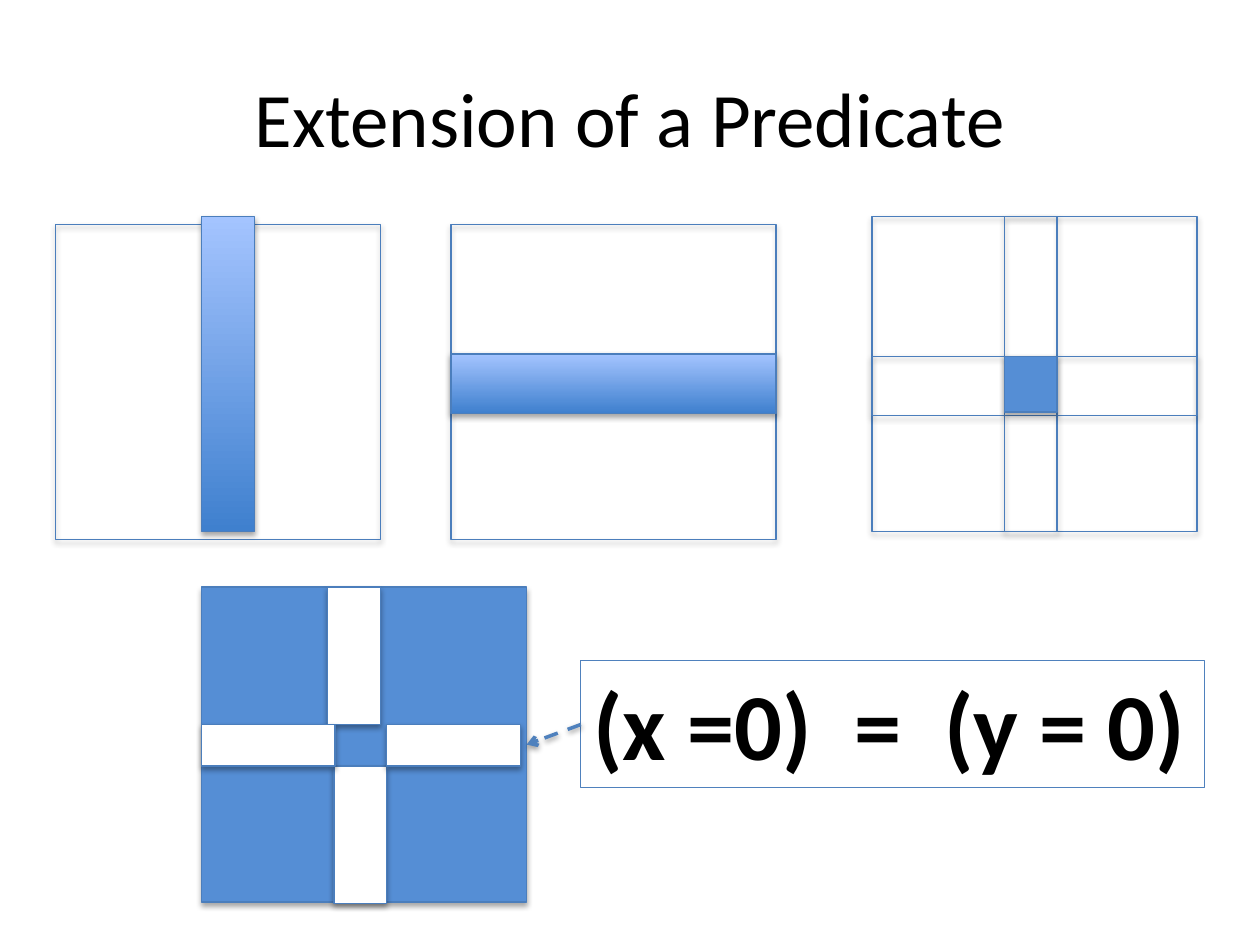
from lxml import etree
from pptx import Presentation
from pptx.dml.color import RGBColor as RGB
from pptx.enum.dml import MSO_LINE_DASH_STYLE as DASH
from pptx.enum.shapes import MSO_CONNECTOR as CONN, MSO_SHAPE as SHAPE
from pptx.enum.text import MSO_ANCHOR as ANCHOR, MSO_AUTO_SIZE as AUTO, PP_ALIGN as ALIGN
from pptx.oxml.ns import qn
from pptx.util import Inches, Pt

COLORS = {"edge": "4B7EBC", "accent": "4F81BD", "area": "558ED5", "white": "FFFFFF",
          "black": "000000", "dark": "3F80CE", "light": "A4C4FF"}
FONT = "Calibri"
SIDE_W, SIDE_H = 2.58, 2.5      # size of every square
BAND_W, BAND_H = 0.42, 0.47     # thickness of upright and level bands


def color(name):
    """Return the named colour."""
    return RGB.from_string(COLORS[name])


def add_shadow(sp_pr, alpha, dist):
    """Add a soft shadow that falls straight down."""
    effects = sp_pr.find(qn("a:effectLst"))
    if effects is None:
        effects = etree.SubElement(sp_pr, qn("a:effectLst"))
    shadow = etree.SubElement(effects, qn("a:outerShdw"), blurRad="40000", dist=str(dist),
                              dir="5400000", rotWithShape="0")
    clr = etree.SubElement(shadow, qn("a:srgbClr"), val=COLORS["black"])
    etree.SubElement(clr, qn("a:alpha"), val=str(alpha * 1000))


def add_rect(s, x, y, w, h, fill=None):
    """Add an outlined rectangle: empty, plain or with the band gradient."""
    sp = s.shapes.add_shape(SHAPE.RECTANGLE, *map(Inches, (x, y, w, h)))
    if fill is None:
        sp.fill.background()
    elif fill == "gradient":
        sp.fill.gradient()
        sp.fill.gradient_angle = 90
        for stop, name in zip(sp.fill.gradient_stops, ("dark", "light")):
            stop.color.rgb = color(name)
    else:
        sp.fill.solid()
        sp.fill.fore_color.rgb = color(fill)
    sp.line.color.rgb = color("edge")
    sp.line.width = Pt(0.75)
    sp.shadow.inherit = False
    add_shadow(sp._element.spPr, 35, 23000)


def add_title(s, text):
    """Place and format the title."""
    title = s.shapes.title
    title.left, title.top, title.width, title.height = map(Inches, (0.5, 0.3, 9, 1.25))
    tf = title.text_frame
    tf.text = text
    tf.vertical_anchor = ANCHOR.MIDDLE
    p = tf.paragraphs[0]
    p.alignment = ALIGN.CENTER
    p.font.size, p.font.name = Pt(44), FONT
    p.font.color.rgb = color("black")


def add_column_panel(s, x, y):
    """Draw a square with an upright band."""
    add_rect(s, x, y, SIDE_W, SIDE_H)
    add_rect(s, x + 1.16, y - 0.06, BAND_W, SIDE_H, "gradient")


def add_row_panel(s, x, y):
    """Draw a square with a level band."""
    add_rect(s, x, y, SIDE_W, SIDE_H)
    add_rect(s, x, y + 1.03, SIDE_W, BAND_H, "gradient")


def add_overlap_panel(s, x, y):
    """Draw a square whose two bands meet in a filled cell."""
    add_rect(s, x, y, SIDE_W, SIDE_H)
    add_rect(s, x + 1.05, y, BAND_W, SIDE_H)
    add_rect(s, x, y + 1.11, SIDE_W, BAND_H)
    add_rect(s, x + 1.05, y + 1.11, BAND_W, 0.44, "area")


def add_equality_panel(s, x, y):
    """Draw a filled square with four white arms around its centre."""
    arm_w, arm_h, gap = 1.06, 1.09, 0.33
    add_rect(s, x, y, SIDE_W, SIDE_H, "area")
    add_rect(s, x + 1, y, BAND_W, arm_h, "white")
    add_rect(s, x + 1.05, y + arm_h + gap, BAND_W, arm_h, "white")
    for arm_x in (x, x + 1.47):
        add_rect(s, arm_x, y + arm_h, arm_w, gap, "white")


def add_formula(s, x, y, w, h, text):
    """Add the framed formula and its dashed arrow to the left."""
    box = s.shapes.add_textbox(*map(Inches, (x, y, w, h)))
    box.line.color.rgb = color("accent")
    box.line.width = Pt(0.75)
    tf = box.text_frame
    tf.word_wrap = False
    tf.auto_size = AUTO.SHAPE_TO_FIT_TEXT
    p = tf.paragraphs[0]
    p.text = text
    p.font.size, p.font.name, p.font.bold = Pt(54), FONT, True
    p.font.color.rgb = color("black")

    arrow = s.shapes.add_connector(
        CONN.STRAIGHT, *map(Inches, (x, y + 0.51, x - 0.43, y + 0.67)))
    arrow.line.color.rgb = color("accent")
    arrow.line.width = Pt(2)
    arrow.line.dash_style = DASH.DASH
    etree.SubElement(arrow.line._get_or_add_ln(), qn("a:tailEnd"), type="arrow")
    add_shadow(arrow._element.spPr, 38, 20000)


def main():
    """Build and save the slide."""
    prs = Presentation()
    prs.slide_width, prs.slide_height = Inches(10), Inches(7.5)
    s = prs.slides.add_slide(prs.slide_layouts[5])
    add_title(s, "Extension of a Predicate")
    add_column_panel(s, 0.44, 1.78)
    add_row_panel(s, 3.58, 1.78)
    add_overlap_panel(s, 6.92, 1.72)
    add_equality_panel(s, 1.6, 4.66)
    add_formula(s, 4.61, 5.24, 4.95, 1.01, "(x =0)  =  (y = 0)")
    prs.save("out.pptx")


main()
